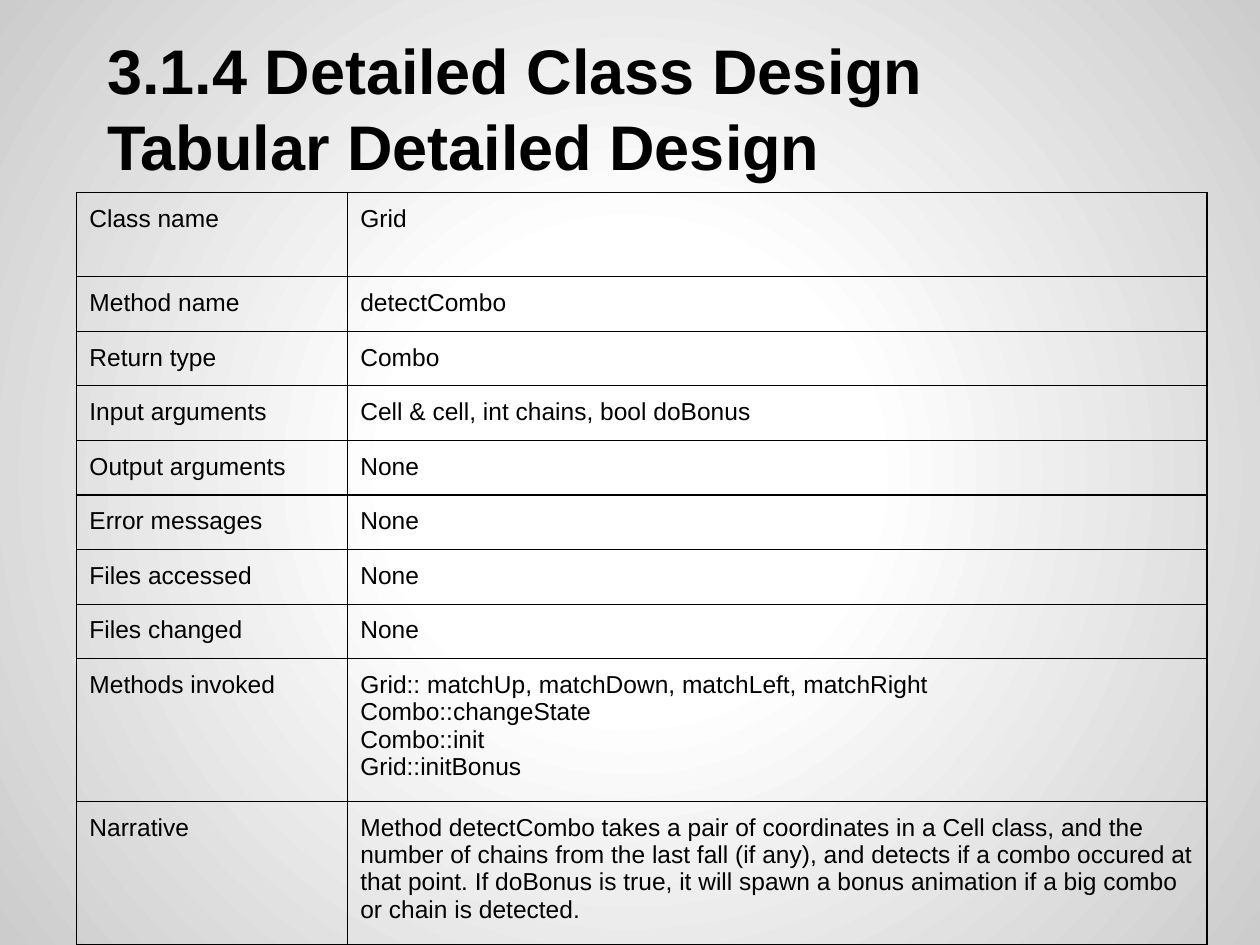
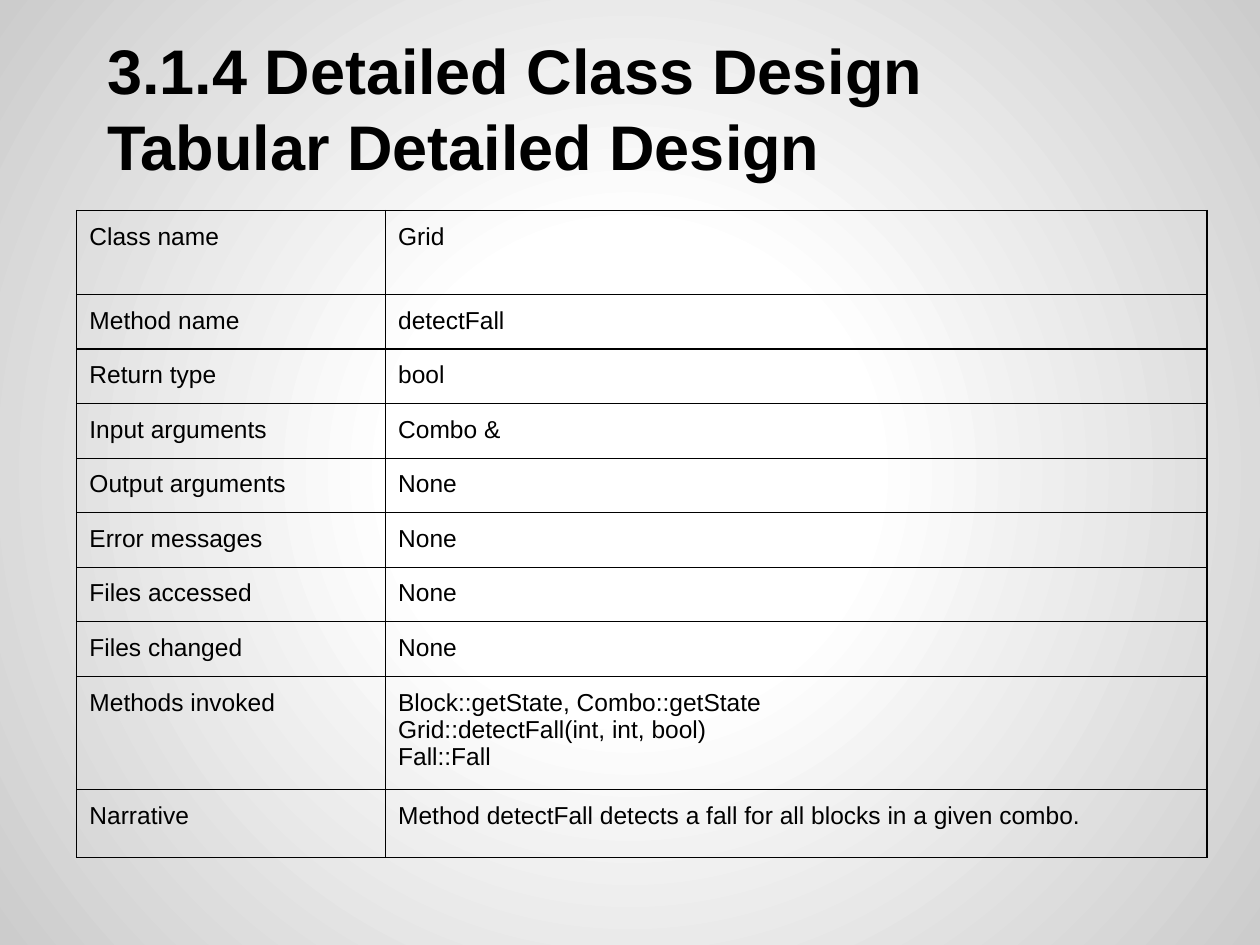
from lxml import etree
from pptx import Presentation
from pptx import util as u
from pptx.dml.color import RGBColor
from pptx.enum import text
from pptx.oxml import parse_xml
from pptx.oxml.ns import qn

COLORS = {"ink": "000000", "center": "FFFFFF", "edge": "CCCCCC"}
FONT = "Arial"
INSET = u.Inches(0.1)
TITLE = "3.1.4 Detailed Class Design\nTabular Detailed Design"
TITLE_BOX = [u.Inches(n) for n in (0.5, 0.3, 9, 1.25)]
TITLE_ONLY = 5
LINE_HEIGHT = u.Pt(16.8)
FIELDS = ["Class name", "Method name", "Return type", "Input arguments",
          "Output arguments", "Error messages", "Files accessed",
          "Files changed", "Methods invoked", "Narrative"]
DESIGNS = [
    {
        "top": 1.53, "columns": (2.15, 6.82), "narrative_lines": 4,
        "values": [
            "Grid", "detectCombo", "Combo",
            "Cell & cell, int chains, bool doBonus",
            "None", "None", "None", "None",
            "Grid:: matchUp, matchDown, matchLeft, matchRight\n"
            "Combo::changeState\nCombo::init\nGrid::initBonus",
            "Method detectCombo takes a pair of coordinates in a Cell class, "
            "and the number of chains from the last fall (if any), and detects "
            "if a combo occured at that point. If doBonus is true, it will "
            "spawn a bonus animation if a big combo or chain is detected.",
        ],
    },
    {
        "top": 1.67, "columns": (2.45, 6.52), "narrative_lines": 1,
        "values": [
            "Grid", "detectFall", "bool", "Combo &",
            "None", "None", "None", "None",
            "Block::getState, Combo::getState\n"
            "Grid::detectFall(int, int, bool)\nFall::Fall",
            "Method detectFall detects a fall for all blocks in a given combo.",
        ],
    },
]


def paint_background(master):
    """Give every slide the radial white-to-grey gradient."""
    master.background.fill.solid()
    properties = master.element.find(".//" + qn("p:bgPr"))
    stops = "".join(
        f'<a:gs pos="{percent * 1000}"><a:srgbClr val="{COLORS[name]}"/></a:gs>'
        for percent, name in ((0, "center"), (30, "center"), (100, "edge")))
    gradient = parse_xml(
        '<a:gradFill xmlns:a="http://schemas.openxmlformats.org/drawingml/2006/main" '
        f'rotWithShape="1"><a:gsLst>{stops}</a:gsLst><a:path path="circle">'
        '<a:fillToRect l="50000" t="50000" r="50000" b="50000"/></a:path></a:gradFill>')
    properties.replace(properties[0], gradient)


def set_insets(holder):
    """Apply the shared inset to a cell or text frame."""
    for side in ("left", "top", "right", "bottom"):
        setattr(holder, f"margin_{side}", INSET)


def style_text(frame, size, spacing, bold=False):
    """Format all paragraphs and runs of a text frame."""
    for paragraph in frame.paragraphs:
        paragraph.alignment = text.PP_ALIGN.LEFT
        paragraph.line_spacing = u.Pt(spacing)
        for run in paragraph.runs:
            run.font.name = FONT
            run.font.size = u.Pt(size)
            run.font.bold = bold
            run.font.color.rgb = RGBColor.from_string(COLORS["ink"])


def place_title(title, box):
    """Place and format the two-line heading."""
    title.left, title.top, title.width, title.height = box
    frame = title.text_frame
    frame.text = TITLE
    frame.word_wrap = True
    frame.vertical_anchor = text.MSO_ANCHOR.BOTTOM
    frame.auto_size = text.MSO_AUTO_SIZE.SHAPE_TO_FIT_TEXT
    set_insets(frame)
    style_text(frame, 36, 43.4, bold=True)
    for paragraph in frame.paragraphs:
        properties = paragraph._p.get_or_add_pPr()
        properties.set("marL", "0")
        properties.set("indent", str(u.Inches(0.25)))


def draw_borders(cell):
    """Draw thin lines on the four sides of a cell."""
    properties = cell._tc.get_or_add_tcPr()
    for side in ("lnL", "lnR", "lnT", "lnB"):
        line = etree.SubElement(properties, qn(f"a:{side}"), w=str(u.Pt(0.75)))
        fill = etree.SubElement(line, qn("a:solidFill"))
        etree.SubElement(fill, qn("a:srgbClr"), val=COLORS["ink"])


def fill_cell(cell, wording):
    """Write and format one transparent, bordered cell."""
    cell.text = wording
    set_insets(cell)
    style_text(cell.text_frame, 14, 15.65)
    draw_borders(cell)
    cell.fill.background()


def row_heights(design):
    """Work out row heights from the number of text lines in each row."""
    lines = [value.count("\n") + 1 for value in design["values"]]
    lines[0] = 2
    lines[-1] = design["narrative_lines"]
    heights = [2 * INSET + count * LINE_HEIGHT for count in lines]
    heights[-1] = max(heights[-1], u.Inches(0.54))
    return heights


def place_design_table(slide, design, left, top):
    """Build the method description table from its top left corner."""
    widths = [u.Inches(width) for width in design["columns"]]
    heights = row_heights(design)
    table = slide.shapes.add_table(len(FIELDS), len(widths), left, top,
                                   sum(widths), sum(heights)).table
    table.first_row = False
    table.horz_banding = False
    for column, width in zip(table.columns, widths):
        column.width = width
    for row, height, entry in zip(table.rows, heights,
                                  zip(FIELDS, design["values"])):
        row.height = height
        for cell, wording in zip(row.cells, entry):
            fill_cell(cell, wording)


def add_design_slide(deck, design):
    """Add one detailed design slide."""
    slide = deck.slides.add_slide(deck.slide_layouts[TITLE_ONLY])
    place_title(slide.shapes.title, TITLE_BOX)
    place_design_table(slide, design, u.Inches(0.61), u.Inches(design["top"]))


def main():
    """Build and save the deck."""
    deck = Presentation()
    deck.slide_width, deck.slide_height = u.Inches(10), u.Inches(7.5)
    paint_background(deck.slide_master)
    for design in DESIGNS:
        add_design_slide(deck, design)
    deck.save("out.pptx")


if __name__ == "__main__":
    main()
